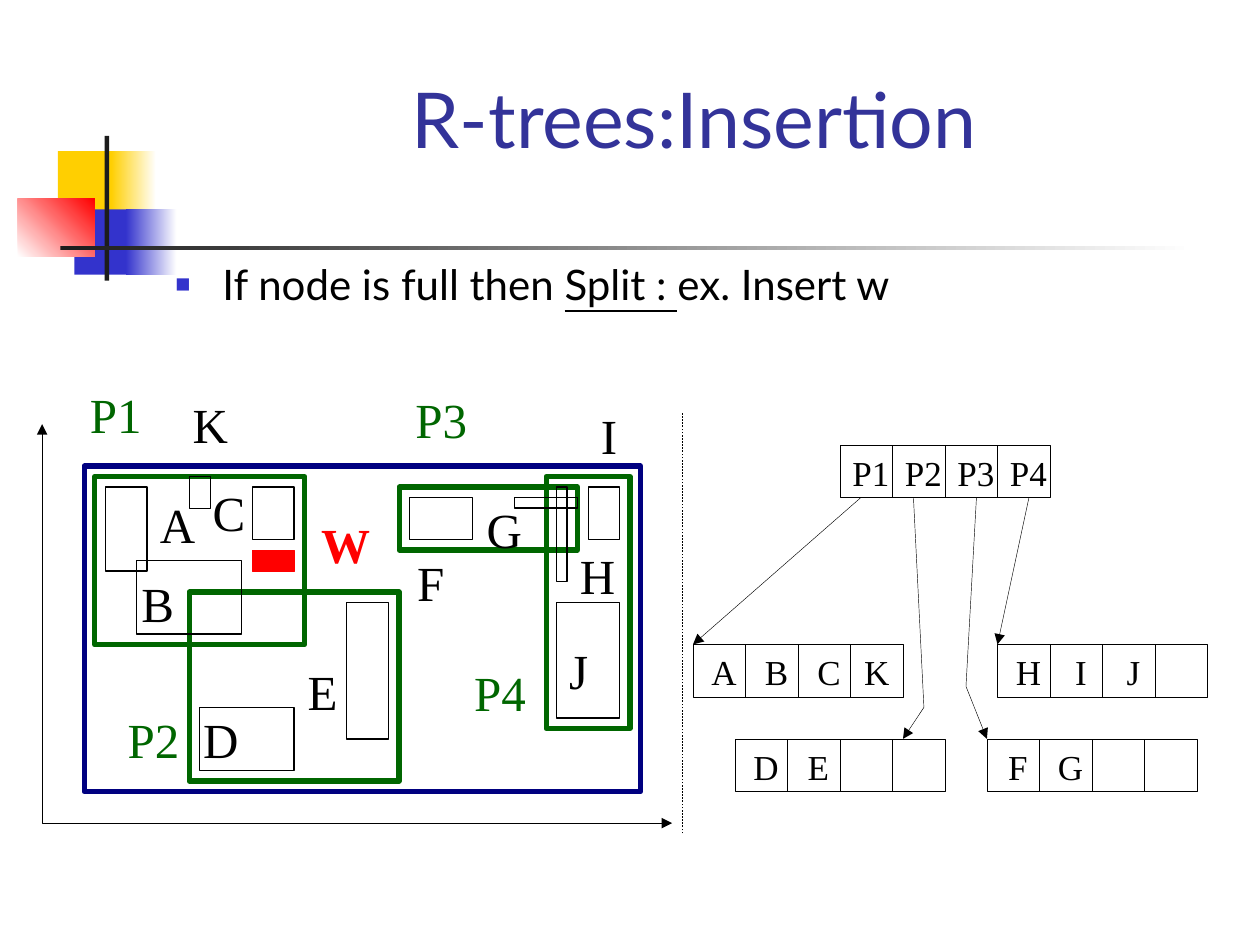
from pptx import Presentation
from pptx.dml.color import RGBColor
from pptx.enum.dml import MSO_LINE
from pptx.enum.shapes import MSO_CONNECTOR, MSO_SHAPE
from pptx.enum.text import MSO_ANCHOR, PP_ALIGN
from pptx.oxml.ns import qn
from pptx.oxml.xmlchemy import OxmlElement
from pptx.util import Cm, Pt

COLORS = {
    "yellow": "FFCF01", "blue": "3333CC", "red": "FF0000", "white": "FFFFFF",
    "charcoal": "1C1C1C", "title": "333399", "black": "000000",
    "green": "006600", "navy": "000080",
}
GRID = Cm(2.54) / 12
SERIF = "Times New Roman"
# Letter widths of the serif font, in ems
EMS = {"A": 0.72, "B": 0.67, "C": 0.67, "D": 0.72, "E": 0.61, "F": 0.56,
       "G": 0.72, "H": 0.72, "I": 0.33, "J": 0.39, "K": 0.72, "P": 0.56,
       "W": 1}
DIGIT_EMS = 0.5
CELL = 5


def rgb(name):
    return RGBColor.from_string(COLORS[name])


def grid_point(origin, x, y):
    """Turn grid steps from an origin into slide lengths."""
    return round(origin[0] + x * GRID), round(origin[1] + y * GRID)


def add_span(para, text, font=SERIF, size=28, color="black", bold=None,
             underline=None):
    span = para.add_run()
    span.text = text
    span.font.name = font
    span.font.size = Pt(size)
    span.font.color.rgb = rgb(color)
    span.font.bold = bold
    span.font.underline = underline


def add_label(shapes, center, text, **span_format):
    """Place a text box of the text's own size around a centre point."""
    size = Pt(span_format.get("size", 28))
    ems = sum(EMS.get(letter, DIGIT_EMS) for letter in text)
    width = round(Cm(0.51) + ems * size)
    height = round(Cm(0.25) + 1.2 * size)
    box = shapes.add_textbox(center[0] - width // 2, center[1] - height // 2,
                             width, height)
    frame = box.text_frame
    frame.word_wrap = False
    frame.vertical_anchor = MSO_ANCHOR.MIDDLE
    para = frame.paragraphs[0]
    para.alignment = PP_ALIGN.CENTER
    add_span(para, text, **span_format)


def add_box(shapes, left, top, width, height, fill=None, line=None, weight=0.75):
    """Draw a rectangle; a list of two fill colours makes a gradient."""
    box = shapes.add_shape(MSO_SHAPE.RECTANGLE, left, top, width, height)
    box.shadow.inherit = False
    if isinstance(fill, list):
        box.fill.gradient()
        for stop, color in zip(box.fill.gradient_stops, fill):
            stop.color.rgb = rgb(color)
        box.fill.gradient_angle = 0
    elif fill:
        box.fill.solid()
        box.fill.fore_color.rgb = rgb(fill)
    else:
        box.fill.background()
    if line:
        box.line.color.rgb = rgb(line)
        box.line.width = Pt(weight)
    else:
        box.line.fill.background()
    return box


def add_grid_box(shapes, origin, x, y, width, height, **style):
    return add_box(shapes, *grid_point(origin, x, y), round(width * GRID),
                   round(height * GRID), **style)


def add_path(page, points, ends=("tailEnd",), dash=None):
    """Draw a thin line through the points, with triangles at the named ends."""
    if len(points) == 2:
        shape = page.shapes.add_connector(MSO_CONNECTOR.STRAIGHT,
                                          *points[0], *points[1])
    else:
        builder = page.shapes.build_freeform(*points[0])
        builder.add_line_segments(points[1:], close=False)
        shape = builder.convert_to_shape()
        shape.fill.background()
    shape.line.color.rgb = rgb("black")
    shape.line.width = Pt(0.25)
    if dash:
        shape.line.dash_style = dash
    properties = shape.element.spPr
    for end in ends:
        arrow = OxmlElement(f"a:{end}")
        arrow.set("type", "triangle")
        properties.find(qn("a:ln")).append(arrow)
    properties.append(OxmlElement("a:effectLst"))


def draw_ornament(page, left, top):
    parts = [
        (0.81, 0.31, 1.22, 1.32, "yellow"),
        (1.88, 0.31, 0.91, 1.32, ["yellow", "white"]),
        (1.14, 1.48, 1.17, 1.32, "blue"),
        (2.18, 1.48, 1.02, 1.32, ["blue", "white"]),
        (0, 1.27, 1.55, 1.17, ["white", "red"]),
        (1.75, 0, 0.09, 2.92, "charcoal"),
        (0.86, 2.21, 22.86, 0.09, ["charcoal", "white"]),
    ]
    for x, y, width, height, fill in parts:
        box = add_box(page.shapes, left + Cm(x), top + Cm(y), Cm(width),
                      Cm(height), fill=fill)
        if fill == ["white", "red"]:
            box.fill.gradient_angle = 45


def move(shape, left, top, width, height):
    shape.left, shape.top, shape.width, shape.height = left, top, width, height


def fill_title(page, *box):
    title = page.shapes.title
    move(title, *box)
    title.text_frame.vertical_anchor = MSO_ANCHOR.BOTTOM
    para = title.text_frame.paragraphs[0]
    para.alignment = PP_ALIGN.CENTER
    add_span(para, "R-trees:Insertion", font="Lato", size=44, color="title")


def fill_body(page, *box):
    body = page.placeholders[1]
    move(body, *box)
    para = body.text_frame.paragraphs[0]
    para.space_before = Pt(6)
    for text, underline in [("If node is full then ", None), ("Split : ", True),
                            ("ex. Insert w", None)]:
        add_span(para, text, font="Lato", size=24, underline=underline)
    properties = para._p.get_or_add_pPr()
    properties.set("marL", str(Cm(0.95)))
    properties.set("indent", str(Cm(-0.95)))
    bullet_color = OxmlElement("a:buClr")
    value = OxmlElement("a:srgbClr")
    value.set("val", COLORS["blue"])
    bullet_color.append(value)
    properties.append(bullet_color)
    for tag, name, setting in [("a:buSzPct", "val", "60000"),
                               ("a:buChar", "char", "■")]:
        item = OxmlElement(tag)
        item.set(name, setting)
        properties.append(item)


def draw_space(page, *origin):
    """Draw the axes, the nested rectangles and their names."""
    nodes = [(5, 5, 20, 16), (48, 5, 8, 24), (14, 16, 20, 18), (34, 6, 17, 6)]
    entries = [(6, 6, 4, 8), (20, 6, 4, 5), (9, 13, 10, 7), (15, 27, 9, 6),
               (29, 17, 4, 13), (35, 7, 6, 4), (49, 17, 6, 11), (52, 6, 3, 5),
               (45, 7, 6, 1), (49, 6, 1, 9)]
    for node in nodes:
        add_grid_box(page.shapes, origin, *node, line="green", weight=3)
    for entry in entries:
        add_grid_box(page.shapes, origin, *entry, line="black")
    add_grid_box(page.shapes, origin, 4, 4, 53, 31, line="navy", weight=3)
    add_path(page, [grid_point(origin, *p) for p in [(0, 0), (0, 38), (60, 38)]],
             ends=("headEnd", "tailEnd"))
    add_grid_box(page.shapes, origin, 20, 12, 4, 2, fill="red", line="red",
                 weight=0.25)
    add_grid_box(page.shapes, origin, 14, 5, 2, 3, line="black", weight=0.25)
    names = {"A": (12.9, 9.5), "B": (11, 17), "C": (17.8, 8.4), "D": (17, 30),
             "E": (26.7, 25.4), "F": (37, 15), "G": (44, 10), "H": (52.9, 14.4),
             "I": (54, 1), "J": (51.1, 23.4), "K": (16, 0), "P1": (7, -1),
             "P2": (10.6, 30), "P3": (38, -0.5), "P4": (43.6, 25.5)}
    for name, center in names.items():
        add_label(page.shapes, grid_point(origin, *center), name,
                  color="green" if name.startswith("P") else "black")
    add_label(page.shapes, grid_point(origin, 28.9, 11.4), "W", color="red",
              bold=True)


def draw_node(page, origin, names):
    """Draw one tree node of four cells as a group."""
    shapes = page.shapes.add_group_shape().shapes
    for index in range(4):
        add_grid_box(shapes, origin, index * CELL, 0, CELL, CELL, line="black",
                     weight=0.25)
    for index, name in enumerate(names):
        offset = 2.5 if name == "K" else 2.95
        add_label(shapes, grid_point(origin, index * CELL + offset, 2.6), name,
                  size=20)


def draw_tree(page, *origin):
    nodes = [(14, 0, ["P1", "P2", "P3", "P4"]), (28, 28, "FG"), (4, 28, "DE"),
             (29, 19, "HIJ"), (0, 19, "ABCK")]
    for x, y, names in nodes:
        draw_node(page, grid_point(origin, x, y), names)
    pointers = [[(16, 5), (0, 19)], [(32, 5), (29, 19)],
                [(21, 5), (22, 25), (20, 28)], [(27, 5), (26, 23), (28, 28)]]
    for pointer in pointers:
        add_path(page, [grid_point(origin, *p) for p in pointer])
    add_path(page, [grid_point(origin, -1, 37), grid_point(origin, -1, -3)],
             ends=(), dash=MSO_LINE.DASH)


def main():
    deck = Presentation()
    deck.slide_width, deck.slide_height = Cm(25.4), Cm(19.05)
    page = deck.slides.add_slide(deck.slide_layouts[1])
    draw_ornament(page, Cm(0.36), Cm(2.74))
    fill_title(page, Cm(3.18), Cm(1.07), Cm(21.64), Cm(2.36))
    fill_body(page, Cm(3.28), Cm(5.08), Cm(21.59), Cm(11.96))
    draw_space(page, Cm(0.85), Cm(8.55))
    draw_tree(page, Cm(13.97), Cm(8.97))
    deck.save("out.pptx")


if __name__ == "__main__":
    main()
